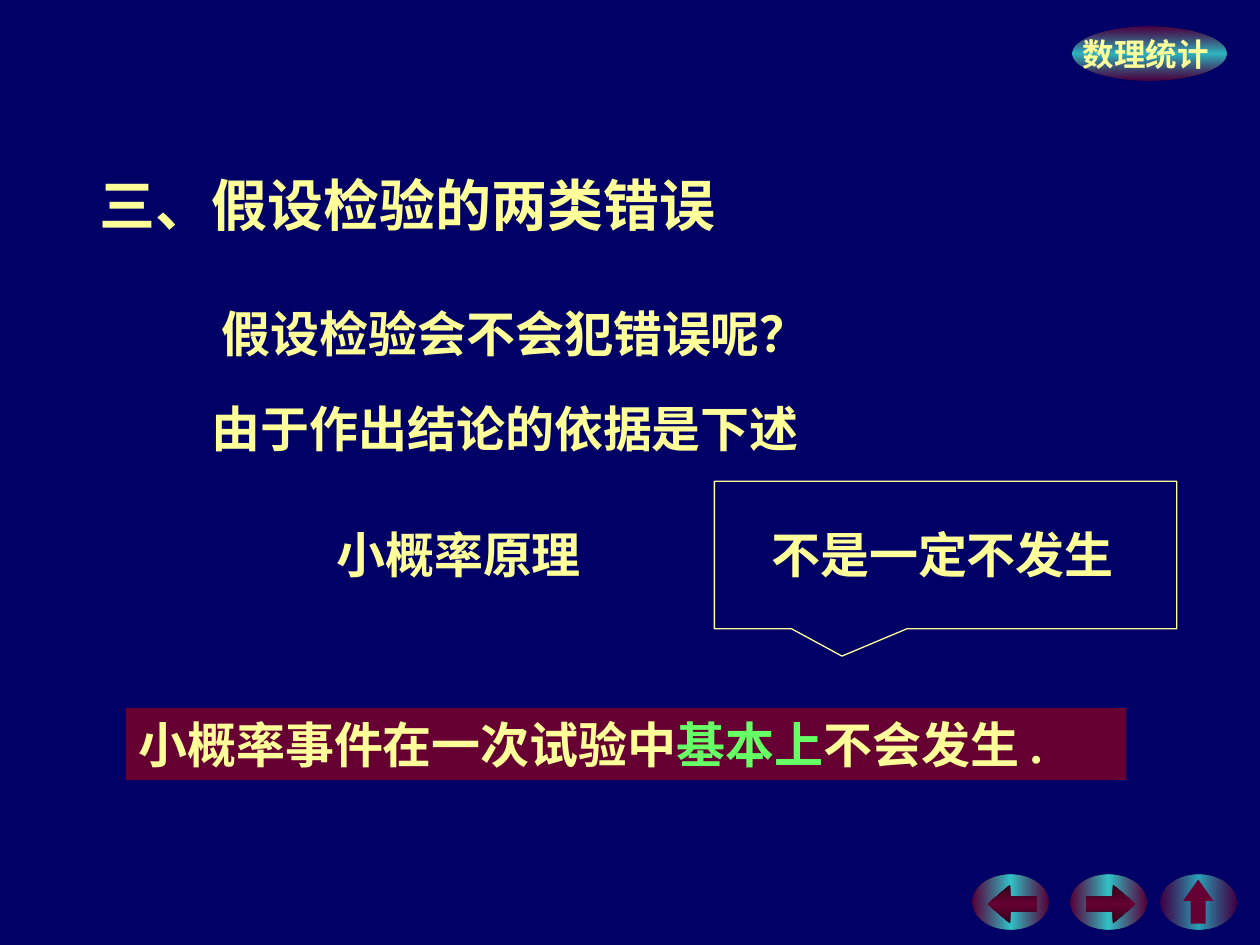
from lxml import etree
from pptx import Presentation
from pptx import util as u
from pptx.dml.color import RGBColor
from pptx.enum import shapes, text
from pptx.oxml.ns import qn

THEME = {
    "font": "Times New Roman",
    "navy": "000066", "cream": "FFFF99", "green": "66FF66",
    "wine": "660033", "dark_wine": "2F0017", "teal": "33CCCC",
    "title": 32, "body": 28, "badge": 18,
}
KIND = shapes.MSO_SHAPE

TITLE = ("三、假设检验的两类错误", (0.69, 1.3, 5.4, 0.64))
BADGE = ("数理统计 ", (8.51, 0.21, 1.22, 0.43))
STATEMENTS = [
    ("假设检验会不会犯错误呢？", (1.66, 2.36, 4.86, 0.57)),
    ("由于作出结论的依据是下述", (1.58, 3.11, 4.86, 0.57)),
    ("小概率原理", (2.57, 4.11, 2.14, 0.57)),
]
PRINCIPLE = ([("小概率事件在一次试验中", "cream"), ("基本上", "green"),
              ("不会发生 .", "cream")], (1, 5.62, 7.94, 0.57))
CALLOUT_BOX = (5.67, 3.82, 3.67, 1.17)
REMARK = ("不是一定不发生", (6.02, 4.11, 2.92, 0.57))

# button centre, edge and middle opacity, arrow kind, arrow box, adjustments, shaded
BUTTON_SIZE = (0.6, 0.44)
BUTTON_MIDDLE = 7.16
BUTTONS = [
    (8.02, 86, 96, KIND.LEFT_ARROW, (7.84, 7.02, 0.39, 0.31), (0.363, 0.574), True),
    (8.8, 86, 96, KIND.RIGHT_ARROW, (8.62, 7.02, 0.39, 0.31), (0.363, 0.574), True),
    (9.51, 62, 81, KIND.UP_ARROW, (9.39, 6.98, 0.24, 0.35), (0.497, 0.71), False),
]


def color(name):
    return RGBColor.from_string(THEME[name])


def inches(box):
    return [u.Inches(value) for value in box]


def set_gradient(shape, edge, middle, angle, edge_alpha=100, middle_alpha=100):
    """Fill with a symmetric three-stop gradient; opacities are in percent."""
    shape.fill.gradient()
    shape.fill.gradient_angle = angle
    stops = shape._element.spPr.find(qn("a:gradFill")).find(qn("a:gsLst"))
    for stop in list(stops):
        stops.remove(stop)
    for position, name, alpha in ((0, edge, edge_alpha), (50, middle, middle_alpha),
                                  (100, edge, edge_alpha)):
        stop = etree.SubElement(stops, qn("a:gs"), pos=str(position * 1000))
        rgb = etree.SubElement(stop, qn("a:srgbClr"), val=THEME[name])
        if alpha < 100:
            etree.SubElement(rgb, qn("a:alpha"), val=str(alpha * 1000))


def add_shape(slide, kind, box, fill=None, line=None, adjustments=()):
    shape = slide.shapes.add_shape(kind, *inches(box))
    shape.shadow.inherit = False
    for index, value in enumerate(adjustments):
        shape.adjustments[index] = value
    if fill:
        shape.fill.solid()
        shape.fill.fore_color.rgb = color(fill)
    if line:
        shape.line.color.rgb = color(line)
        shape.line.width = u.Pt(0.75)
    else:
        shape.line.fill.background()
    return shape


def write_text(shape, content, size="body", align=text.PP_ALIGN.CENTER,
               anchor=text.MSO_ANCHOR.MIDDLE, wrap=False):
    """Write a string, or a list of (text, colour name) runs, into a shape."""
    frame = shape.text_frame
    frame.word_wrap = wrap
    frame.auto_size = text.MSO_AUTO_SIZE.NONE
    frame.vertical_anchor = anchor
    paragraph = frame.paragraphs[0]
    paragraph.alignment = align
    runs = [(content, "cream")] if isinstance(content, str) else content
    for words, color_name in runs:
        run = paragraph.add_run()
        run.text = words
        run.font.name = THEME["font"]
        run.font.size = u.Pt(THEME[size])
        run.font.bold = True
        run.font.color.rgb = color(color_name)


def add_text(slide, content, box, **style):
    write_text(slide.shapes.add_textbox(*inches(box)), content, **style)


def add_button(slide, center, edge_alpha, middle_alpha, kind, box, adjustments, shaded):
    width, height = BUTTON_SIZE
    oval_box = (center - width / 2, BUTTON_MIDDLE - height / 2, width, height)
    oval = add_shape(slide, KIND.OVAL, oval_box)
    set_gradient(oval, "wine", "teal", 0, edge_alpha, middle_alpha)
    arrow = add_shape(slide, kind, box, fill="wine", adjustments=adjustments)
    if shaded:
        set_gradient(arrow, "dark_wine", "wine", 90)


def main():
    presentation = Presentation()
    presentation.slide_width, presentation.slide_height = u.Inches(10), u.Inches(7.5)
    slide = presentation.slides.add_slide(presentation.slide_layouts[5])
    slide.background.fill.solid()
    slide.background.fill.fore_color.rgb = color("navy")

    title, title_box = TITLE
    heading = slide.shapes.title
    heading.left, heading.top, heading.width, heading.height = inches(title_box)
    write_text(heading, title, size="title", align=text.PP_ALIGN.LEFT,
               anchor=text.MSO_ANCHOR.TOP, wrap=True)

    label, badge_box = BADGE
    badge = add_shape(slide, KIND.OVAL, badge_box)
    set_gradient(badge, "wine", "teal", 90, 73, 89)
    write_text(badge, label, size="badge")

    for button in BUTTONS:
        add_button(slide, *button)
    for statement, box in STATEMENTS:
        add_text(slide, statement, box)

    principle, band_box = PRINCIPLE
    band = add_shape(slide, KIND.RECTANGLE, band_box, fill="wine")
    write_text(band, principle, align=text.PP_ALIGN.LEFT, wrap=True)

    add_shape(slide, KIND.RECTANGULAR_CALLOUT, CALLOUT_BOX, fill="navy",
              line="cream", adjustments=(-0.224, 0.686))
    add_text(slide, *REMARK)
    presentation.save("out.pptx")


if __name__ == "__main__":
    main()
